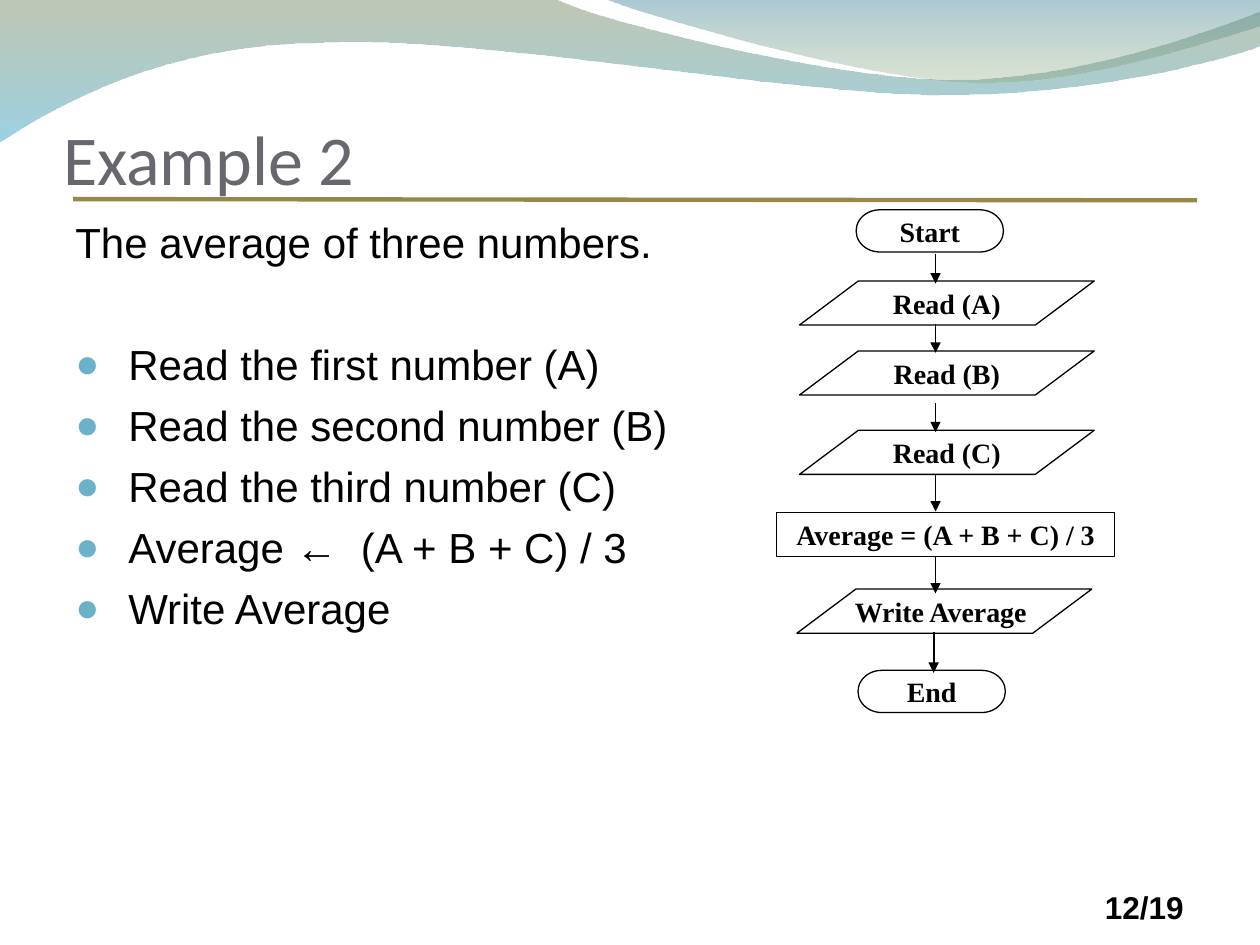
"""Build the slide "Example 2": averaging three numbers, as steps and as a flowchart."""
from lxml import etree
from pptx import Presentation
from pptx import util as u
from pptx.dml.color import RGBColor
from pptx.enum import shapes, text
from pptx.oxml.ns import qn

prs = Presentation()
prs.slide_width, prs.slide_height = u.Inches(10), u.Inches(7.5)
unit = prs.slide_width // 100
s = prs.slides.add_slide(prs.slide_layouts[5])
rgb = RGBColor.from_string


def grid(*cells):
    return [round(c * unit) for c in cells]


def write(p, words, color="000000", **font):
    r = p.add_run()
    r.text = words
    r.font.color.rgb = rgb(color)
    for key, value in font.items():
        setattr(r.font, key, value)


wide_wave = [
    [(0, -0.1)], [(44, -0.1)],
    [(47.6, 1.7), (66.4, 6.3), (75.8, 6.3)], [(85.3, 6.3), (95.8, 2.6), (100, 0.9)],
    [(100.1, 3.6)],
    [(98.3, 4.4), (87, 7.6), (74.6, 7.5)], [(62.2, 7.5), (38.2, 2.8), (25.7, 3.4)],
    [(12.9, 3.5), (4.6, 8.3), (-0.1, 11.3)],
]
right_wave = [
    [(47.9, -0.1)],
    [(50.9, 1.1), (68.2, 6.2), (76.9, 6.5)], [(85.6, 6.9), (96.1, 3.2), (100, 2.1)],
    [(100, 0)],
]
waves = [
    (wide_wave, [("72845C", 45), ("49ACCD", 55)]),
    (right_wave, [("42869E", 45), ("8AA26C", 30)]),
]
for outline, stops in waves:
    start, *points = [grid(*point) for part in outline for point in part]
    builder = s.shapes.build_freeform(*start)
    builder.add_line_segments(points, close=True)
    sp = builder.convert_to_shape()
    segments = iter(list(sp._element.iter(qn("a:lnTo"))))
    for part in outline[1:]:
        segment = next(segments)
        if len(part) == 3:
            segment.tag = qn("a:cubicBezTo")
            for extra in (next(segments), next(segments)):
                segment.append(extra[0])
                extra.getparent().remove(extra)
    sp.shadow.inherit = False
    sp.line.fill.background()
    sp.fill.gradient()
    sp.fill.gradient_angle = 270
    for stop, (color, opacity) in zip(sp.fill.gradient_stops, stops):
        stop.color.rgb = rgb(color)
    colors = sp._element.spPr.iter(qn("a:srgbClr"))
    for node, (color, opacity) in zip(colors, stops):
        etree.SubElement(node, qn("a:alpha"), val=str(opacity * 1000))

title = s.shapes.title
title.left, title.top, title.width, title.height = grid(5, 3.3, 90, 12.5)
tf = title.text_frame
frame = {"margin_left": 0, "margin_top": u.Inches(0.05), "margin_right": 0,
         "margin_bottom": 0, "vertical_anchor": text.MSO_ANCHOR.BOTTOM}
for key, value in frame.items():
    setattr(tf, key, value)
p = tf.paragraphs[0]
p.alignment = text.PP_ALIGN.LEFT
write(p, "Example 2", "69676D", size=u.Pt(40), name="Calibri")

tf = s.shapes.add_textbox(*grid(86.7, 70, 9.2, 5)).text_frame
tf.word_wrap = True
write(tf.paragraphs[0], "12/19", size=u.Pt(18), name="Arial", bold=True)

tf = s.shapes.add_textbox(*grid(5, 16.7, 90, 53.3)).text_frame
tf.word_wrap = True
body = {"size": u.Pt(24), "name": "Arial"}
write(tf.paragraphs[0], "The average of three numbers.", **body)
instructions = ["Read the first number (A)", "Read the second number (B)",
                "Read the third number (C)", "Average ←  (A + B + C) / 3", "Write Average"]
for i, words in enumerate(instructions):
    p = tf.add_paragraph()
    p.space_before = u.Pt(6 if i else 41)
    pPr = p._p.get_or_add_pPr()
    indent = u.Inches(0.42)
    pPr.set("marL", str(indent))
    pPr.set("indent", str(-indent))
    color = etree.SubElement(pPr, qn("a:buClr"))
    etree.SubElement(color, qn("a:srgbClr"), val="6BB1C9")
    etree.SubElement(pPr, qn("a:buSzPct"), val="95000")
    etree.SubElement(pPr, qn("a:buFont"), typeface="Arial")
    etree.SubElement(pPr, qn("a:buChar"), char="●")
    write(p, words, **body)

kinds = {
    "terminal": (shapes.MSO_SHAPE.FLOWCHART_TERMINATOR, 11.7, 3.35),
    "data": (shapes.MSO_SHAPE.FLOWCHART_DATA, 23.4, 3.5),
    "process": (shapes.MSO_SHAPE.FLOWCHART_PROCESS, 26.8, 3.5),
}
flow = [
    ("terminal", 67.95, 16.65, "Start"),
    ("data", 63.45, 22.3, "Read (A)"),
    ("data", 63.45, 27.85, "Read (B)"),
    ("data", 63.45, 34.15, "Read (C)"),
    ("process", 61.65, 40.65, "Average = (A + B + C) / 3"),
    ("data", 63.25, 46.75, "Write Average "),
    ("terminal", 68.1, 53.2, "End"),
]
for kind, left, top, words in flow:
    preset, width, height = kinds[kind]
    sp = s.shapes.add_shape(preset, *grid(left, top, width, height))
    sp.shadow.inherit = False
    sp.fill.background()
    sp.line.color.rgb = rgb("000000")
    sp.line.width = u.Pt(0.75)
    tf = sp.text_frame
    tf.word_wrap = False
    tf.vertical_anchor = text.MSO_ANCHOR.MIDDLE
    p = tf.paragraphs[0]
    p.alignment = text.PP_ALIGN.CENTER
    write(p, words, size=u.Pt(16), name="Times New Roman", bold=True)

arrows = [(74.25, 20.2, 22.5), (74.25, 25.7, 28), (74.25, 32, 34.3),
          (74.25, 37.7, 40.6), (74.25, 44.1, 47.1), (74.1, 50.2, 53.4)]
lines = [((5.8, 15.8, 95, 15.9), "988848", 2.5, False)]
lines += [((x, top, x, bottom), "000000", 1, True) for x, top, bottom in arrows]
for ends, color, weight, pointed in lines:
    line = s.shapes.add_connector(shapes.MSO_CONNECTOR.STRAIGHT, *grid(*ends))
    line.line.color.rgb = rgb(color)
    line.line.width = u.Pt(weight)
    if pointed:
        etree.SubElement(line.line._get_or_add_ln(), qn("a:tailEnd"), type="triangle")
    etree.SubElement(line._element.spPr, qn("a:effectLst"))

prs.save("out.pptx")
